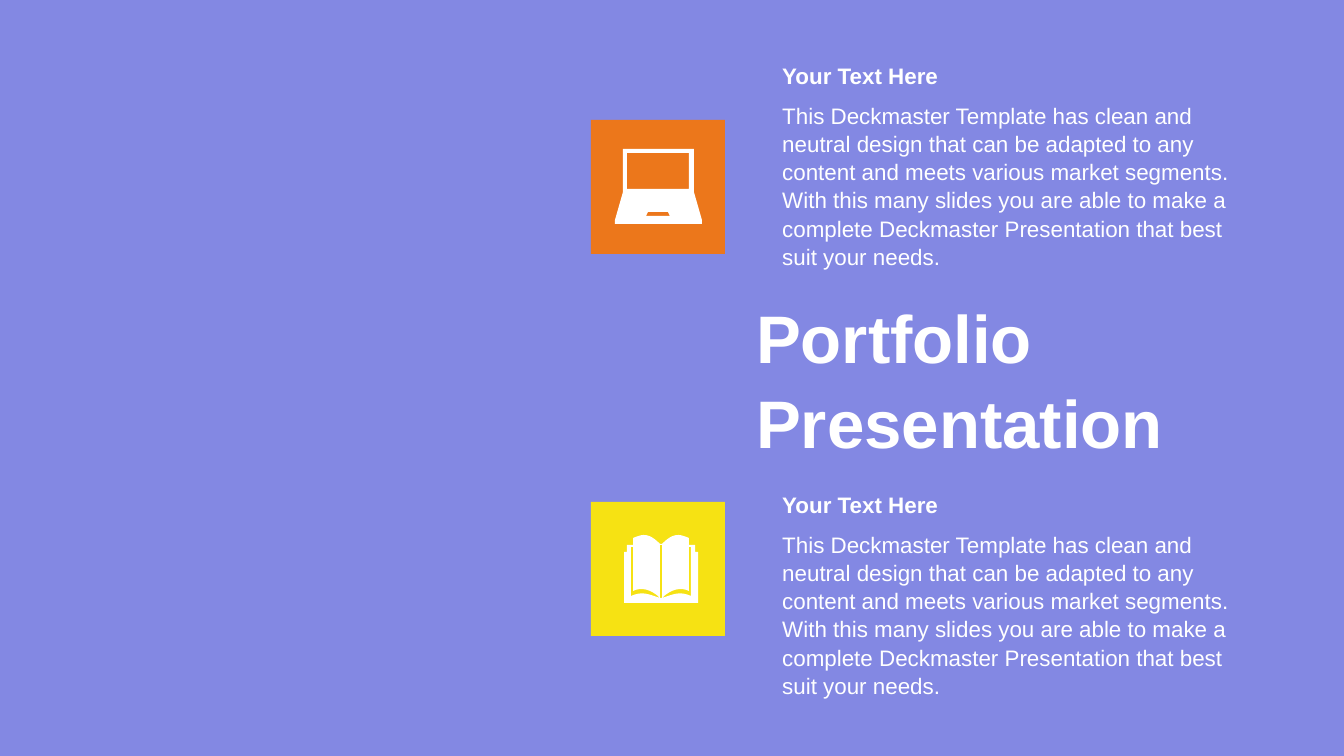
from pptx import Presentation, util as u
from pptx.dml.color import RGBColor
from pptx.enum import shapes, text

PX = 914400 / 134.4  # EMU in one px

LAVENDER = RGBColor(0x83, 0x88, 0xE3)
ORANGE = RGBColor(0xEC, 0x77, 0x1B)
YELLOW = RGBColor(0xF6, 0xE2, 0x13)
WHITE = RGBColor(0xFF, 0xFF, 0xFF)

HEADING = "Your Text Here"
BODY = (
    "This Deckmaster Template has clean and neutral design that can be adapted "
    "to any content and meets various market segments. With this many slides "
    "you are able to make a complete Deckmaster Presentation that best suit "
    "your needs."
)


def px(length):
    return u.Emu(round(length * PX))


def curve(start, control_a, control_b, end, steps=8):
    """Points along a cubic curve, both ends included."""
    points = []
    for step in range(steps + 1):
        t = step / steps
        weights = ((1 - t) ** 3, 3 * t * (1 - t) ** 2, 3 * t * t * (1 - t), t ** 3)
        corners = (start, control_a, control_b, end)
        points.append(tuple(sum(w * c[axis] for w, c in zip(weights, corners))
                            for axis in (0, 1)))
    return points


def mirror(points):
    return [(-x, y) for x, y in reversed(points)]


def paint(shape, color):
    shape.shadow.inherit = False
    shape.fill.solid()
    shape.fill.fore_color.rgb = color
    shape.line.fill.background()


def add_outline(slide, left, top, contours):
    """White outline; inner contours become holes."""
    contours = [[(px(left + x), px(top + y)) for x, y in c] for c in contours]
    builder = slide.shapes.build_freeform(*contours[0][0], scale=1.0)
    builder.add_line_segments(contours[0][1:], close=True)
    for contour in contours[1:]:
        builder.move_to(*contour[0])
        builder.add_line_segments(contour[1:], close=True)
    paint(builder.convert_to_shape(), WHITE)


def add_text(slide, box, words, size, bold=False, anchor=text.MSO_ANCHOR.TOP):
    frame = slide.shapes.add_textbox(*map(px, box)).text_frame
    frame.word_wrap = True
    frame.vertical_anchor = anchor
    paragraph = frame.paragraphs[0]
    paragraph.text = words
    paragraph.line_spacing = 1.05
    font_format = {"name": "Arial", "size": u.Pt(size), "bold": bold}
    for key, value in font_format.items():
        setattr(paragraph.font, key, value)
    paragraph.font.color.rgb = WHITE


def add_tile(slide, left, top, size, color):
    tile = slide.shapes.add_shape(shapes.MSO_SHAPE.RECTANGLE,
                                  *map(px, (left, top, size, size)))
    paint(tile, color)


def add_laptop(slide, left, top):
    body = [(32, 29), (103, 29), (103, 72), (111, 100),
            (111, 104), (24, 104), (24, 100), (32, 72)]
    screen = [(36, 33), (98, 33), (98, 69), (36, 69)]
    trackpad = [(57, 92), (77, 92), (79, 96), (55, 96)]
    add_outline(slide, left, top, [body, screen, trackpad])


def add_book(slide, left, top):
    spine = 70  # the halves mirror each other about this line
    right_half = (curve((1, 42), (6, 37), (11, 33), (17, 33))
                  + curve((17, 33), (20, 33), (23, 34), (28, 36))
                  + [(28, 43), (34, 43), (34, 50), (37, 50), (37, 101)])
    page_edge = (curve((1, 96), (13, 92), (19, 89), (30, 94))
                 + [(30, 45), (28, 45)]
                 + curve((28, 89), (20, 85), (10, 87), (1, 96)))
    slit = [(-1, 43), (1, 43), (1, 96), (-1, 96)]
    add_outline(slide, left + spine, top,
                [right_half + mirror(right_half), page_edge,
                 mirror(page_edge), slit])


def add_caption(slide, left, top, width):
    add_text(slide, (left, top, width, 40), HEADING, 12, bold=True)
    add_text(slide, (left, top + 40, width, 184), BODY, 12)


def add_feature(slide, tile_top, caption_top, color, add_icon):
    tile_left = 591
    add_tile(slide, tile_left, tile_top, 134, color)
    add_icon(slide, tile_left, tile_top)
    add_caption(slide, tile_left + 178, caption_top, 497)


def main():
    deck = Presentation()
    deck.slide_width, deck.slide_height = px(1344), px(756)
    slide = deck.slides.add_slide(deck.slide_layouts[6])
    slide.background.fill.solid()
    slide.background.fill.fore_color.rgb = LAVENDER

    # Title
    add_text(slide, (743, 281, 601, 192), "Portfolio Presentation", 36,
             bold=True, anchor=text.MSO_ANCHOR.MIDDLE)

    # Features above and below the title
    add_feature(slide, 120, 54, ORANGE, add_laptop)
    add_feature(slide, 502, 483, YELLOW, add_book)

    deck.save("out.pptx")


if __name__ == "__main__":
    main()
